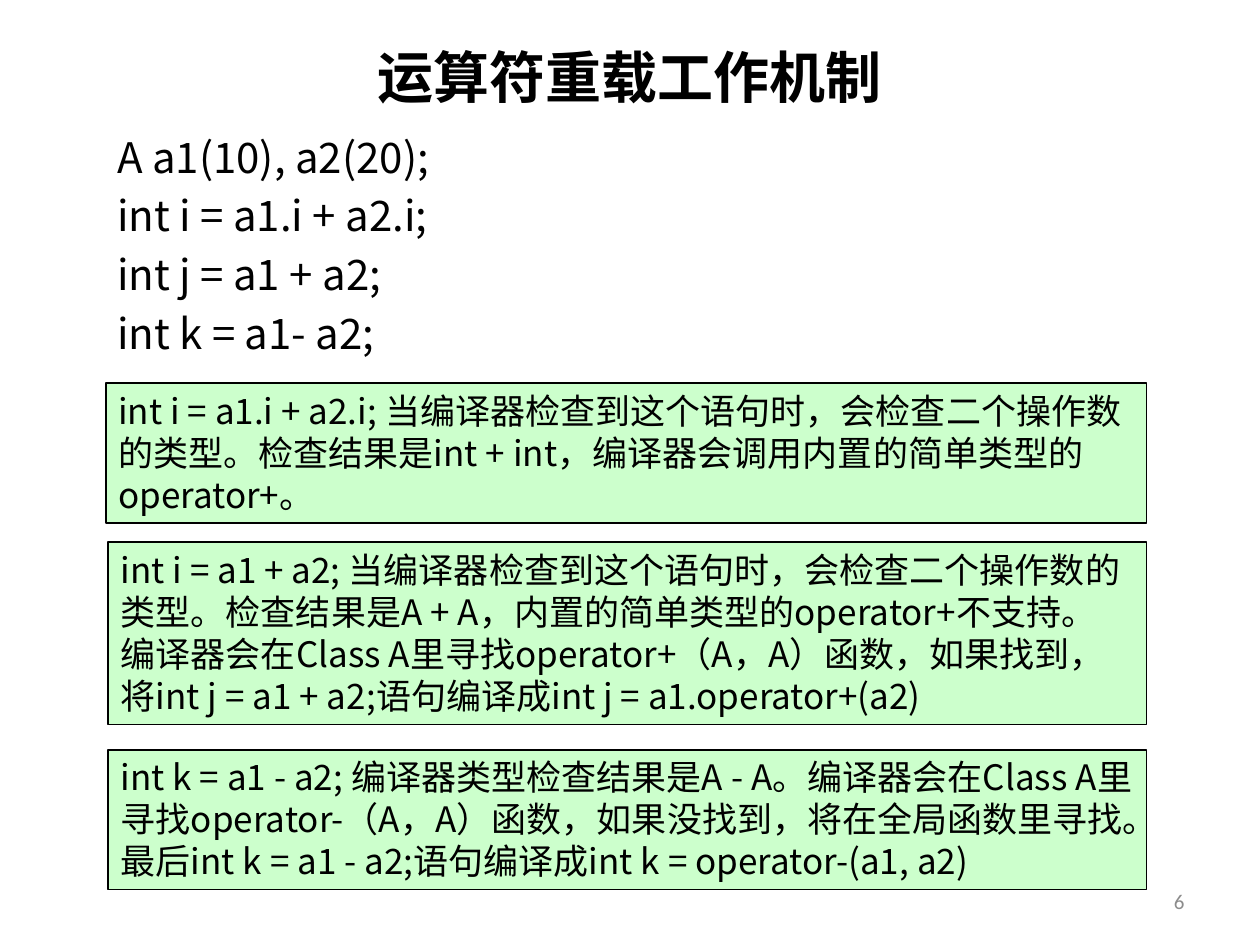
"""Build the slide explaining how operator overloading works."""
from dataclasses import dataclass

from lxml import etree
from pptx import Presentation
from pptx.dml.color import RGBColor
from pptx.enum.shapes import MSO_SHAPE
from pptx.enum.text import MSO_ANCHOR, MSO_AUTO_SIZE, PP_ALIGN
from pptx.oxml.ns import qn
from pptx.util import Pt

RECTANGLE = MSO_SHAPE.RECTANGLE
TOP, MIDDLE = MSO_ANCHOR.TOP, MSO_ANCHOR.MIDDLE
LEFT, CENTER, RIGHT = PP_ALIGN.LEFT, PP_ALIGN.CENTER, PP_ALIGN.RIGHT
NO_FIT, GROW = MSO_AUTO_SIZE.NONE, MSO_AUTO_SIZE.SHAPE_TO_FIT_TEXT
CJK_FONT, NUMBER_FONT = "Noto Sans CJK JP", "Calibri"
COLORS = {"text": "000000", "box": "CCFFCC", "number": "8C8C8C"}
LINE_FACTOR = 1.2

TITLE = "运算符重载工作机制"
CODE_LINES = ["A a1(10), a2(20);", "int i = a1.i + a2.i;", "int j = a1 + a2;", "int k = a1- a2;"]


@dataclass
class Frame:
    left: float
    top: float
    width: float
    height: float


@dataclass
class TextStyle:
    size: float
    color: str = "text"
    font: str = CJK_FONT
    align: int = LEFT
    bold: bool = False


@dataclass
class Explanation:
    frame: Frame
    paragraphs: list[str]
    wrap: bool = True


BOX_STYLE = TextStyle(20)
EXPLANATIONS = [
    Explanation(Frame(60.5, 218.9, 594.7, 79.9), [
        "int i = a1.i + a2.i; 当编译器检查到这个语句时，会检查二个操作数",
        "的类型。检查结果是int + int，编译器会调用内置的简单类型的",
        "operator+。",
    ], wrap=False),
    Explanation(Frame(61.9, 309.6, 593.3, 104.4), [
        "int i = a1 + a2; 当编译器检查到这个语句时，会检查二个操作数的类型。"
        "检查结果是A + A，内置的简单类型的operator+不支持。",
        "编译器会在Class A里寻找operator+（A，A）函数，如果找到，"
        "将int j = a1 + a2;语句编译成int j = a1.operator+(a2)",
    ]),
    Explanation(Frame(61.9, 428.4, 593.3, 79.9), [
        "int k = a1 - a2; 编译器类型检查结果是A - A。"
        "编译器会在Class A里寻找operator-（A，A）函数，如果没找到，"
        "将在全局函数里寻找。最后int k = a1 - a2;语句编译成int k = operator-(a1, a2)",
    ]),
]


def place(shape, frame: Frame) -> None:
    shape.left, shape.top = Pt(frame.left), Pt(frame.top)
    shape.width, shape.height = Pt(frame.width), Pt(frame.height)


def write(shape, lines: list[str], style: TextStyle, anchor=TOP, fit=NO_FIT, wrap: bool = True) -> None:
    text_frame = shape.text_frame
    text_frame.text = "\n".join(lines)
    text_frame.word_wrap = wrap
    text_frame.auto_size = fit
    text_frame.vertical_anchor = anchor
    for paragraph in text_frame.paragraphs:
        paragraph.alignment = style.align
        paragraph.line_spacing = Pt(style.size * LINE_FACTOR)
        font = paragraph.font
        font.name, font.size, font.bold = style.font, Pt(style.size), style.bold
        font.color.rgb = RGBColor.from_string(COLORS[style.color])
        for run in paragraph.runs:
            properties = run.font._element
            etree.SubElement(properties, qn("a:ea")).set("typeface", style.font)


def hang_without_bullets(shape, indent: float, space_before: float) -> None:
    for paragraph in shape.text_frame.paragraphs:
        paragraph.space_before = Pt(space_before)
        properties = paragraph._p.get_or_add_pPr()
        properties.set("marL", str(Pt(indent)))
        properties.set("indent", str(-Pt(indent)))
        bullet = etree.Element(qn("a:buNone"))
        properties.find(qn("a:defRPr")).addprevious(bullet)


def draw_explanation(slide, explanation: Explanation) -> None:
    frame = explanation.frame
    box = slide.shapes.add_shape(
        RECTANGLE, Pt(frame.left), Pt(frame.top), Pt(frame.width), Pt(frame.height))
    box.shadow.inherit = False
    box.fill.solid()
    box.fill.fore_color.rgb = RGBColor.from_string(COLORS["box"])
    box.line.color.rgb = RGBColor.from_string(COLORS["text"])
    box.line.width = Pt(1)
    write(box, explanation.paragraphs, BOX_STYLE, fit=GROW, wrap=explanation.wrap)


def main() -> None:
    presentation = Presentation()
    presentation.slide_width, presentation.slide_height = Pt(720), Pt(540)
    slide = presentation.slides.add_slide(presentation.slide_layouts[1])

    title = slide.shapes.title
    place(title, Frame(54, 20.2, 612, 46.1))
    write(title, [TITLE], TextStyle(32, align=CENTER, bold=True), anchor=MIDDLE)

    body = slide.placeholders[1]
    place(body, Frame(59.8, 71.3, 612, 141.8))
    write(body, CODE_LINES, TextStyle(24))
    hang_without_bullets(body, indent=27, space_before=4.8)

    for explanation in EXPLANATIONS:
        draw_explanation(slide, explanation)

    number = slide.shapes.add_textbox(Pt(516.2), Pt(500.4), Pt(167.8), Pt(28.8))
    write(number, ["6"], TextStyle(12, "number", NUMBER_FONT, RIGHT), anchor=MIDDLE)

    presentation.save("out.pptx")


if __name__ == "__main__":
    main()
